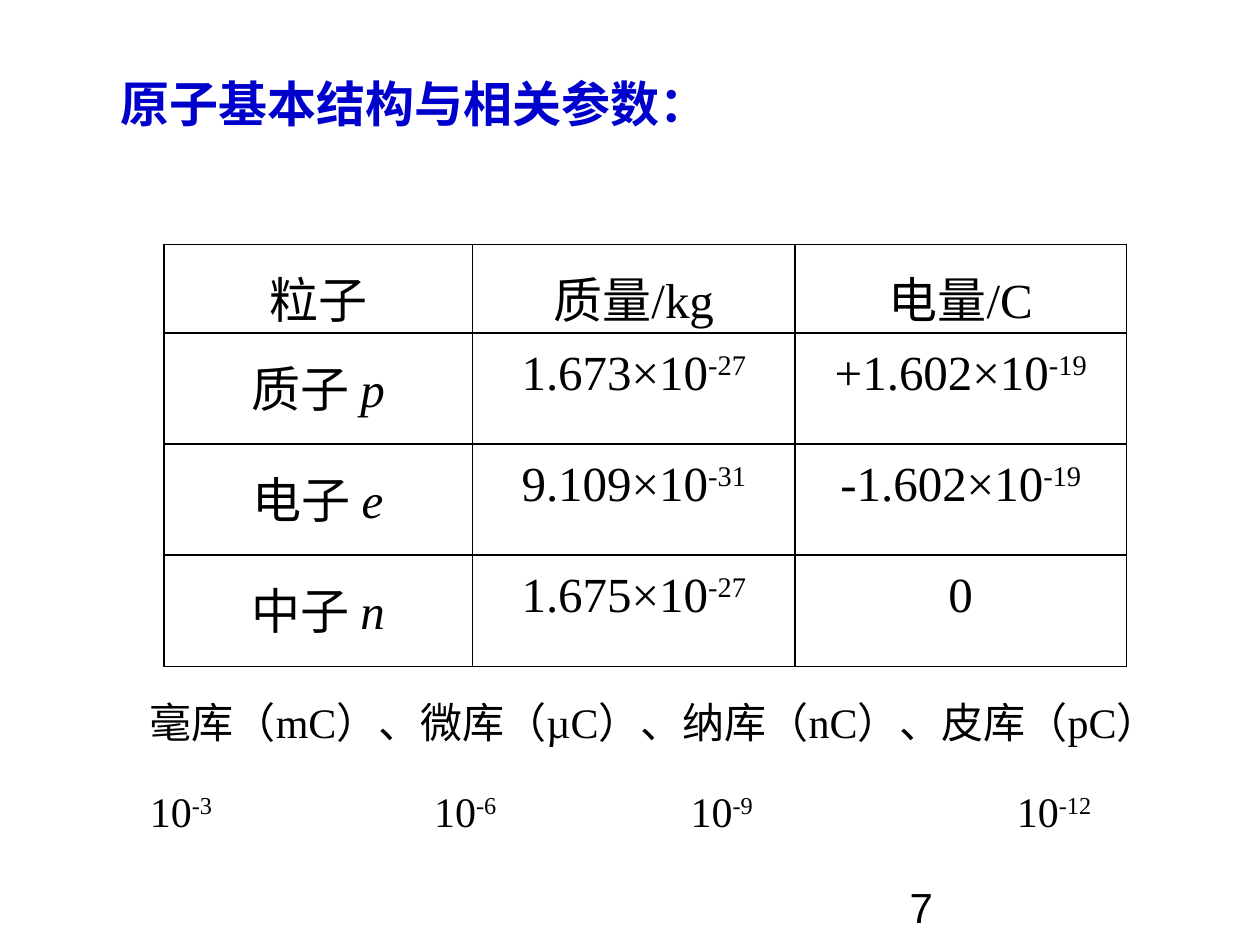
from lxml import etree
from pptx import Presentation
from pptx.dml.color import RGBColor
from pptx.enum.text import MSO_ANCHOR, MSO_AUTO_SIZE, PP_ALIGN
from pptx.oxml.ns import qn
from pptx.util import Pt

TOP = MSO_ANCHOR.TOP
FIXED = MSO_AUTO_SIZE.NONE
LEFT, CENTER = PP_ALIGN.LEFT, PP_ALIGN.CENTER
BLACK = RGBColor(0, 0, 0)
BLUE = RGBColor(0, 0, 0xCC)
SERIF, SANS = "Times New Roman", "Arial"

TITLE = "原子基本结构与相关参数："
HEADS = ["粒子", "质量/kg", "电量/C"]
ROWS = [
    ("质子 ", "p", ("1.673×10", "-27"), ("+1.602×10", "-19")),
    ("电子 ", "e", ("9.109×10", "-31"), ("-1.602×10", "-19")),
    ("中子 ", "n", ("1.675×10", "-27"), ("0", "")),
]
UNITS = "毫库（mC）、微库（µC）、纳库（nC）、皮库（pC）"
POWERS = ["-3", "-6", "-9", "-12"]
STOPS = [162.5, 309, 495.5]
NUMBER = "7"

WIDTHS = [176.4, 184.3, 189.4]
HEIGHTS = [30.5, 63.5, 63.5, 63.5]


def add_run(para, text, size, color=BLACK, face=SERIF, bold=False,
            slant=False, raised=False):
    run = para.add_run()
    run.text = text
    font = run.font
    font.size, font.name = Pt(size), face
    font.bold, font.italic = bold, slant
    font.color.rgb = color
    if raised:
        run._r.get_or_add_rPr().set("baseline", "30000")


def add_power(para, base, power, size):
    add_run(para, base, size)
    if power:
        add_run(para, power, size, raised=True)


def set_frame(frame, pad=3.6):
    frame.word_wrap = True
    frame.auto_size = FIXED
    frame.vertical_anchor = TOP
    frame.margin_left = frame.margin_right = Pt(pad)
    frame.margin_top = frame.margin_bottom = Pt(pad)


def add_box(slide, left, top, width, height):
    box = slide.shapes.add_textbox(Pt(left), Pt(top), Pt(width), Pt(height))
    set_frame(box.text_frame)
    return box.text_frame


def add_tabs(para, stops):
    tabs = etree.SubElement(para._p.get_or_add_pPr(), qn("a:tabLst"))
    for stop in stops:
        etree.SubElement(tabs, qn("a:tab"), pos=str(Pt(stop)), algn="l")


def set_cell(cell):
    props = cell._tc.get_or_add_tcPr()
    for side in ("lnL", "lnR", "lnT", "lnB"):
        line = etree.SubElement(props, qn("a:" + side), w=str(Pt(1)))
        fill = etree.SubElement(line, qn("a:solidFill"))
        etree.SubElement(fill, qn("a:srgbClr"), val=str(BLACK))
    cell.fill.background()
    cell.margin_left = cell.margin_right = Pt(5)
    cell.margin_top = cell.margin_bottom = 0
    para = cell.text_frame.paragraphs[0]
    para.alignment = CENTER
    para.line_spacing = 1.25
    return para


def add_grid(slide):
    grid = slide.shapes.add_table(
        len(HEIGHTS), len(WIDTHS), Pt(93.6), Pt(139.7),
        Pt(sum(WIDTHS)), Pt(sum(HEIGHTS))).table
    grid.first_row = grid.horz_banding = False
    for col, width in zip(grid.columns, WIDTHS):
        col.width = Pt(width)
    for row, height in zip(grid.rows, HEIGHTS):
        row.height = Pt(height)
    for col, head in enumerate(HEADS):
        add_run(set_cell(grid.cell(0, col)), head, 28)
    for row, (name, sign, *values) in enumerate(ROWS, 1):
        para = set_cell(grid.cell(row, 0))
        add_run(para, name, 28)
        add_run(para, sign, 28, slant=True)
        for col, (base, power) in enumerate(values, 1):
            add_power(set_cell(grid.cell(row, col)), base, power, 28)


def main():
    deck = Presentation()
    deck.slide_width, deck.slide_height = Pt(720), Pt(540)
    slide = deck.slides.add_slide(deck.slide_layouts[5])

    title = slide.shapes.title
    title.left, title.top = Pt(65.5), Pt(31.7)
    title.width, title.height = Pt(391), Pt(64)
    set_frame(title.text_frame)
    para = title.text_frame.paragraphs[0]
    para.alignment, para.line_spacing = LEFT, 1.2
    add_run(para, TITLE, 28, BLUE, bold=True)

    add_grid(slide)

    frame = add_box(slide, 82, 388.8, 595.5, 109.4)
    para = frame.paragraphs[0]
    para.line_spacing = 1.2
    add_run(para, UNITS, 24)
    para = frame.add_paragraph()
    para.line_spacing, para.space_before = 1.2, Pt(16)
    add_tabs(para, STOPS)
    for pos, power in enumerate(POWERS):
        add_power(para, "\t10" if pos else "10", power, 24)

    frame = add_box(slide, 516.2, 500.4, 167.8, 33.1)
    add_run(frame.paragraphs[0], NUMBER, 24, face=SANS)

    deck.save("out.pptx")


if __name__ == "__main__":
    main()
